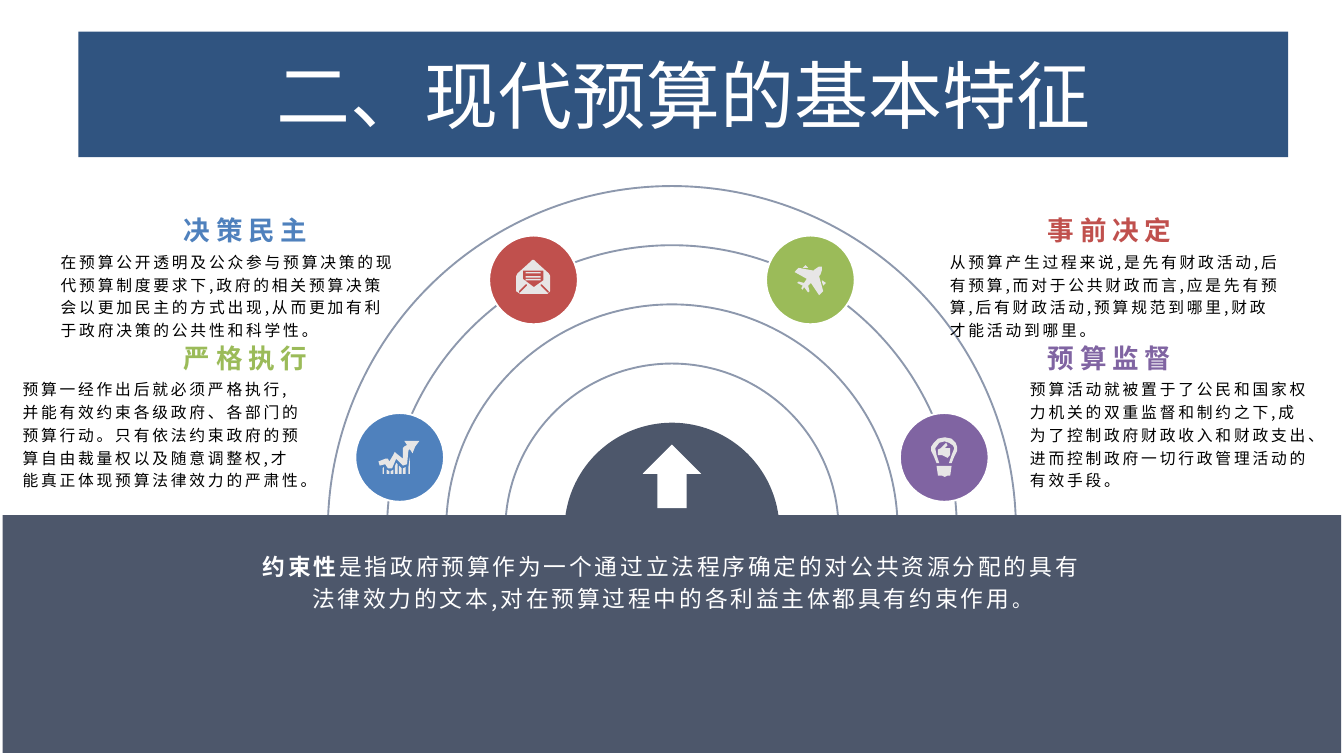
"""Build the slide on the basic features of a modern budget."""
from dataclasses import dataclass
from math import asin, cos, degrees

from lxml import etree
from pptx import Presentation
from pptx import util as u
from pptx.dml.color import RGBColor
from pptx.enum import shapes, text
from pptx.oxml import ns

COLOURS = {
    "banner": "305480", "band": "4D576B", "ring": "8D98AD", "icon": "E7E6E6",
    "white": "FFFFFF", "black": "000000", "blue": "4F81BD", "red": "C0504D",
    "green": "9BBB59", "purple": "8064A2",
}
CJK_FONT = "Noto Sans CJK SC"
CENTRE_X, CENTRE_Y = 12.5, 9.86
INNER_RADIUS, RING_GAP, RING_FLOOR = 3.1, 1.1, 13.7
ICON_UNIT = u.Cm(0.0254)
BADGE_SIZE = 1.65
LEFT, CENTRE, RIGHT = text.PP_ALIGN.LEFT, text.PP_ALIGN.CENTER, text.PP_ALIGN.RIGHT
Contour = list[tuple[int, int]]


def bar(top: int) -> Contour:
    """Return one line of writing on the letter."""
    return [(7, top), (7, top + 1), (18, top + 1), (18, top)]


LETTER = [
    [(24, 10), (25, 12), (25, 23), (23, 25), (3, 25), (0, 23), (0, 12), (1, 10),
     (11, 1), (12, 0), (13, 0), (14, 1)],
    [(5, 8), (5, 14), (13, 20), (20, 15), (20, 8)],
    bar(9), bar(12), bar(14),
    [(3, 24), (8, 19), (8, 18), (7, 18), (2, 23), (2, 24)],
    [(24, 23), (19, 18), (18, 18), (18, 19), (23, 24), (24, 24)],
]
GROWTH = [
    [(30, 0), (27, 4), (25, 9), (23, 6), (22, 7), (21, 17), (18, 18), (13, 13),
     (10, 20), (7, 20), (5, 17), (1, 18), (0, 15), (5, 13), (7, 13), (8, 15),
     (11, 10), (12, 8), (13, 9), (18, 13), (18, 5), (19, 4), (21, 3), (19, 0), (24, 0)],
    [(3, 24), (4, 24), (4, 19), (3, 20)],
    [(6, 24), (8, 24), (8, 22), (6, 21)],
    [(9, 24), (11, 24), (11, 21), (9, 22)],
    [(12, 24), (14, 24), (14, 17), (13, 16), (12, 19)],
    [(15, 24), (17, 24), (17, 20), (15, 18)],
    [(18, 24), (20, 24), (20, 19), (18, 20)],
    [(22, 24), (23, 24), (23, 12), (22, 19)],
]
BULB = [
    [(4, 21), (15, 21), (14, 28), (12, 28), (10, 29), (8, 28), (5, 28)],
    [(14, 8), (14, 13), (13, 14), (12, 15), (8, 13), (5, 13), (5, 9), (7, 8),
     (11, 4), (12, 6), (10, 8)],
    [(4, 19), (6, 19), (4, 13), (3, 8), (6, 4), (10, 3), (13, 4), (16, 6), (17, 8),
     (15, 13), (13, 19), (15, 19), (17, 14), (19, 10), (19, 7), (18, 4), (15, 1),
     (10, 0), (5, 1), (2, 4), (0, 7), (0, 10), (2, 14)],
]
PLANE = [
    [(20, 1), (20, 4), (19, 7), (18, 8), (21, 19), (18, 22), (12, 13), (10, 15),
     (11, 19), (10, 20), (7, 16), (6, 18), (5, 17), (6, 15), (2, 13), (3, 12),
     (7, 13), (9, 10), (0, 5), (3, 2), (14, 4), (15, 3), (18, 1)],
    [(23, 13), (20, 11), (20, 12), (21, 15)],
    [(8, 0), (6, 2), (10, 2)],
]


@dataclass
class Feature:
    """A feature of the budget: its texts and its badge, with lengths in centimetres."""
    heading: str
    body: str
    colour: str
    heading_left: float
    heading_top: float
    align: text.PP_ALIGN
    body_left: float
    body_width: float
    badge: tuple[float, float]
    icon_at: tuple[float, float]
    icon: list[Contour]


FEATURES = [
    Feature("决策民主", "在预算公开透明及公众参与预算决策的现代预算制度要求下,政府的相关预算决策会以更加民主的方式出现,从而更加有利于政府决策的公共性和科学性。",
            "blue", 0.89, 3.82, RIGHT, 0.88, 6.78, (6.61, 7.68), (7.04, 8.2), GROWTH),
    Feature("事前决定", "从预算产生过程来说,是先有财政活动,后有预算,而对于公共财政而言,应是先有预算,后有财政活动,预算规范到哪里,财政才能活动到哪里。",
            "red", 19.02, 3.82, LEFT, 17.42, 6.71, (9.1, 4.38), (9.6, 4.83), LETTER),
    Feature("严格执行", "预算一经作出后就必须严格执行,并能有效约束各级政府、各部门的预算行动。只有依法约束政府的预算自由裁量权以及随意调整权,才能真正体现预算法律效力的严肃性。",
            "green", 0.89, 6.19, RIGHT, 0.17, 5.79, (14.25, 4.38), (14.78, 4.93), PLANE),
    Feature("预算监督", "预算活动就被置于了公民和国家权力机关的双重监督和制约之下,成为了控制政府财政收入和财政支出、进而控制政府一切行政管理活动的有效手段。",
            "purple", 19.02, 6.19, LEFT, 18.91, 5.74, (16.74, 7.68), (17.32, 8.13), BULB),
]


def rgb(name: str) -> RGBColor:
    """Return a named colour."""
    return RGBColor.from_string(COLOURS[name])


def paint(shape, fill: str | None = None, line: str | None = None):
    """Set the fill and outline of a shape and drop its shadow."""
    shape.shadow.inherit = False
    if fill:
        shape.fill.solid()
        shape.fill.fore_color.rgb = rgb(fill)
    else:
        shape.fill.background()
    if line:
        shape.line.color.rgb = rgb(line)
        shape.line.width = u.Pt(1)
    else:
        shape.line.fill.background()
    return shape


def add_preset(page, kind: shapes.MSO_SHAPE, left: float, top: float, width: float,
               height: float, **colours: str):
    """Draw a preset shape."""
    box = page.shapes.add_shape(kind, *map(u.Cm, (left, top, width, height)))
    return paint(box, **colours)


def add_disc(page, radius: float, **colours: str) -> None:
    """Draw a circle about the common centre."""
    add_preset(page, shapes.MSO_SHAPE.OVAL, CENTRE_X - radius, CENTRE_Y - radius,
               2 * radius, 2 * radius, **colours)


def add_outline(page, contours: list[Contour], left: float = 0, top: float = 0,
                scale: float = 1.0, **colours: str):
    """Draw closed contours as one freeform."""
    builder = None
    for start, *rest in contours:
        if builder is None:
            builder = page.shapes.build_freeform(*start, scale=scale)
        else:
            builder.move_to(*start)
        builder.add_line_segments(rest, close=True)
    return paint(builder.convert_to_shape(u.Cm(left), u.Cm(top)), **colours)


def add_cut_ring(page, radius: float) -> None:
    """Draw a ring cut flat at the ring floor, with one true arc."""
    dip = asin((RING_FLOOR - CENTRE_Y) / radius)
    reach = radius * cos(dip)
    corners = [(-reach, RING_FLOOR - CENTRE_Y), (-radius, 0), (0, -radius), (radius, 0),
               (reach, RING_FLOOR - CENTRE_Y)]
    points = [(u.Cm(CENTRE_X + x), u.Cm(CENTRE_Y + y)) for x, y in corners]
    ring = add_outline(page, [points], line="ring")
    first, *others = list(ring._element.iter(ns.qn("a:lnTo")))
    arc = etree.Element(ns.qn("a:arcTo"), wR=str(u.Cm(radius)), hR=str(u.Cm(radius)),
                        stAng=str(round((180 - degrees(dip)) * 60000)),
                        swAng=str(round((180 + 2 * degrees(dip)) * 60000)))
    outline = first.getparent()
    outline.replace(first, arc)
    for segment in others:
        outline.remove(segment)


def add_span(para, words: str, *, size: float, colour: str, spacing: float = 0,
             bold: bool = False, font: str = CJK_FONT) -> None:
    """Add a formatted run to a paragraph."""
    span = para.add_run()
    span.text = words
    span.font.size, span.font.bold, span.font.name = u.Pt(size), bold, font
    span.font.color.rgb = rgb(colour)
    properties = span.font._element
    properties.set("spc", str(round(spacing * 100)))
    etree.SubElement(properties, ns.qn("a:ea")).set("typeface", CJK_FONT)


def set_frame(box, margins: tuple[float, float, float, float], anchor: text.MSO_ANCHOR,
              align: text.PP_ALIGN, line_spacing: float = 1.0):
    """Format the text frame of a box and return its paragraph."""
    frame = box.text_frame
    frame.word_wrap, frame.auto_size = True, text.MSO_AUTO_SIZE.NONE
    frame.vertical_anchor = anchor
    (frame.margin_left, frame.margin_top,
     frame.margin_right, frame.margin_bottom) = map(u.Cm, margins)
    para = frame.paragraphs[0]
    para.alignment, para.line_spacing = align, line_spacing
    return para


def add_feature(page, feature: Feature) -> None:
    """Draw the badge, heading and body of a feature."""
    add_preset(page, shapes.MSO_SHAPE.OVAL, *feature.badge, BADGE_SIZE, BADGE_SIZE,
               fill=feature.colour, line="white")
    add_outline(page, feature.icon, *feature.icon_at, scale=ICON_UNIT, fill="icon")
    heading = page.shapes.add_textbox(
        *map(u.Cm, (feature.heading_left, feature.heading_top, 5.08, 0.76)))
    para = set_frame(heading, (0.47, 0.1, 0.25, 0), text.MSO_ANCHOR.BOTTOM,
                     feature.align, 1.1)
    add_span(para, feature.heading, size=14, colour=feature.colour, spacing=3, bold=True)
    body = page.shapes.add_textbox(
        *map(u.Cm, (feature.body_left, feature.heading_top + 0.81, feature.body_width, 1.17)))
    para = set_frame(body, (0.25, 0, 0.25, 0.1), text.MSO_ANCHOR.TOP, LEFT, 1.2)
    add_span(para, feature.body, size=8.3, colour="black", spacing=1.5)


def main() -> None:
    """Build and save the deck."""
    deck = Presentation()
    deck.slide_width, deck.slide_height = u.Cm(25), u.Cm(14)
    page = deck.slides.add_slide(deck.slide_layouts[5])

    title = page.shapes.title
    title.left, title.top, title.width, title.height = map(u.Cm, (1.46, 0.59, 22.5, 2.33))
    title.fill.solid()
    title.fill.fore_color.rgb = rgb("banner")
    para = set_frame(title, (0.23, 0.1, 0.23, 0.1), text.MSO_ANCHOR.MIDDLE, CENTRE)
    add_span(para, "二、现代预算的基本特征", size=39, colour="white", font="Calibri")

    add_disc(page, INNER_RADIUS, line="ring")
    for step in range(1, 4):
        add_cut_ring(page, INNER_RADIUS + RING_GAP * step)
    add_preset(page, shapes.MSO_SHAPE.RECTANGLE, 0.05, 9.58, 24.9, 4.42, fill="band")
    add_disc(page, 2, fill="band")
    arrow = add_preset(page, shapes.MSO_SHAPE.RIGHT_ARROW, 11.91, 8.31, 1.18, 1.09, fill="white")
    arrow.rotation = 270
    for feature in FEATURES:
        add_feature(page, feature)

    summary = page.shapes.add_textbox(*map(u.Cm, (4.53, 10.03, 15.95, 1.5)))
    para = set_frame(summary, (0.18, 0.1, 0.18, 0.1), text.MSO_ANCHOR.MIDDLE, CENTRE, 1.2)
    for words, size, bold in (
            ("约束性", 12, True),
            ("是指政府预算作为一个通过立法程序确定的对公共资源分配的具有法律效力的文本,对在预算过程中的各利益主体都具有约束作用", 12, False),
            ("。", 10.3, False)):
        add_span(para, words, size=size, colour="white", spacing=1.5, bold=bold)
    deck.save("out.pptx")


if __name__ == "__main__":
    main()
